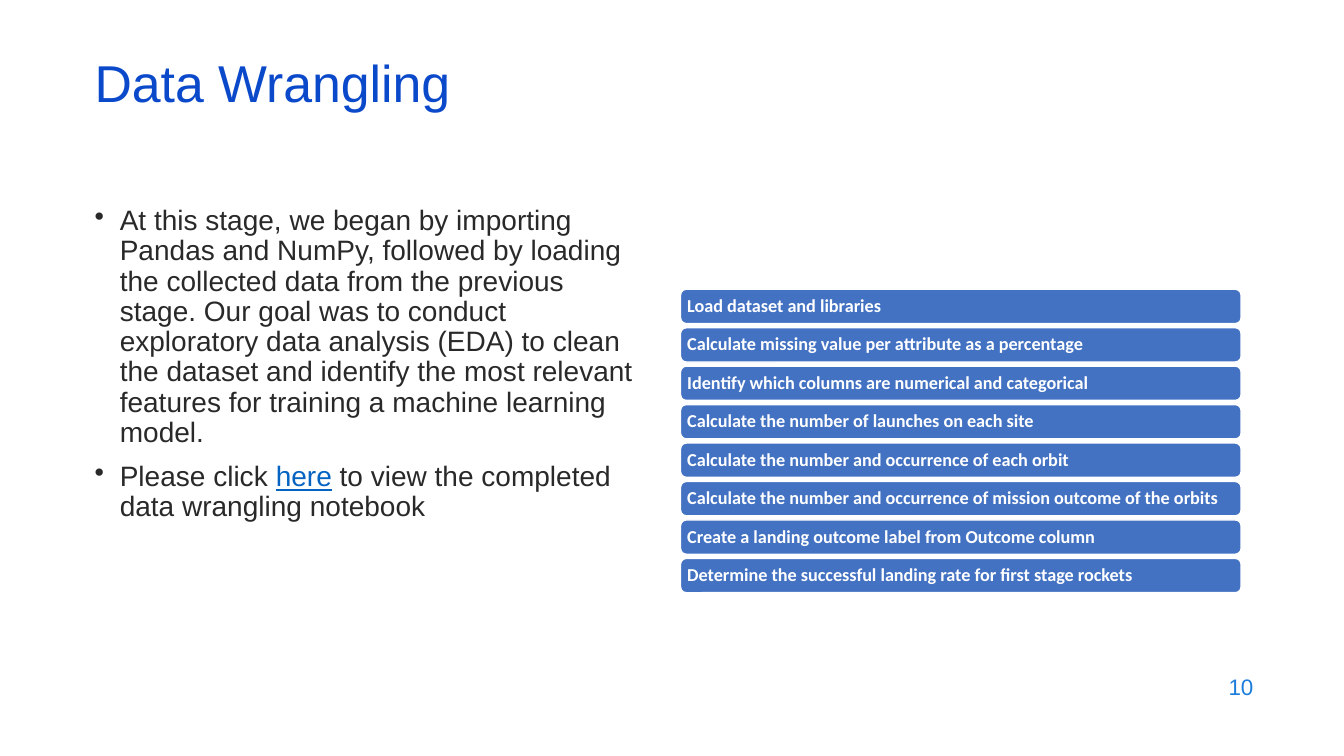
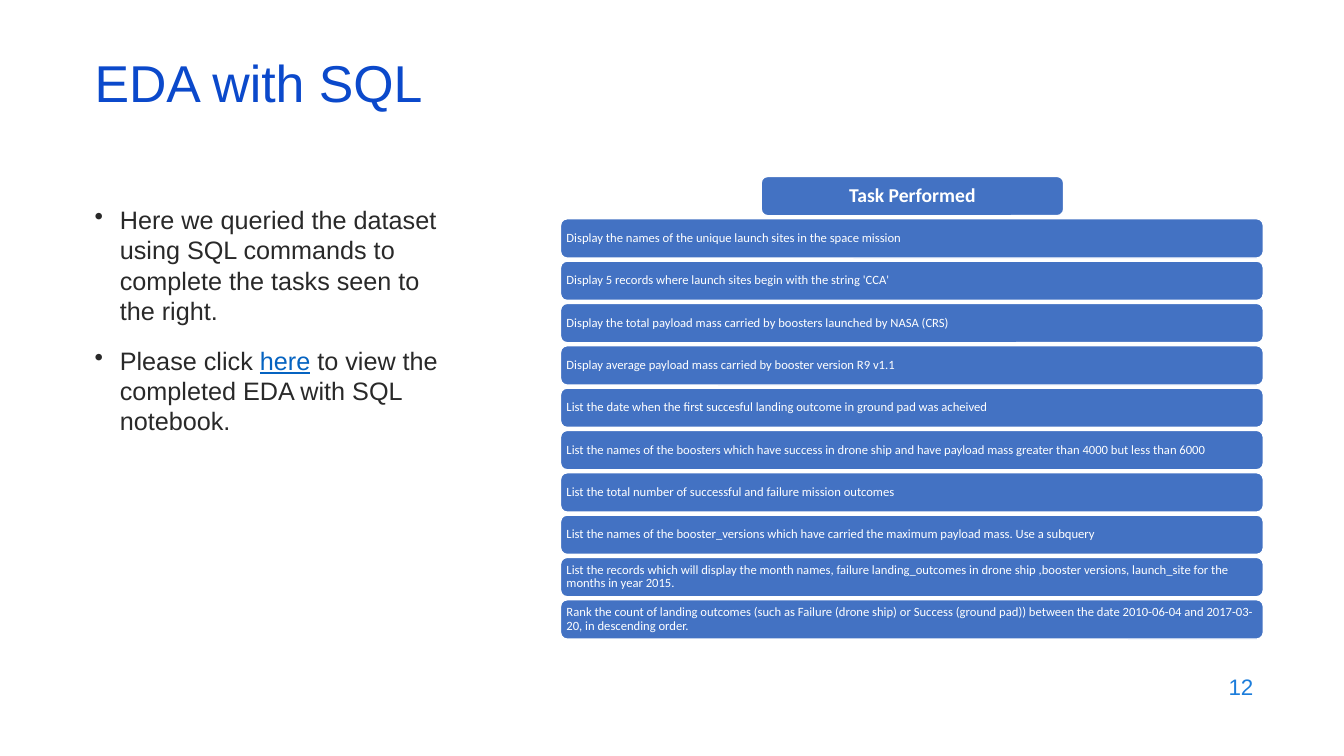
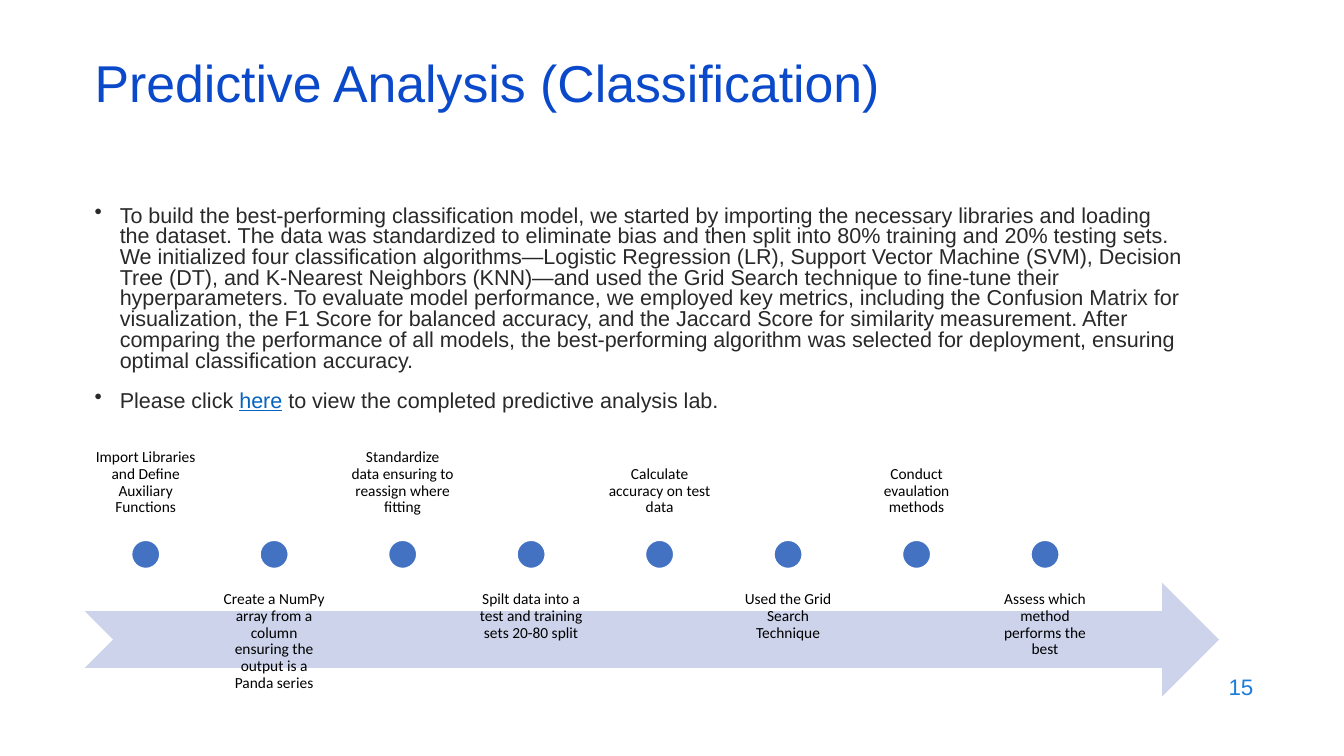
from lxml.etree import SubElement
from pptx import Presentation
from pptx.dml.color import RGBColor
from pptx.enum.shapes import MSO_SHAPE
from pptx.enum.text import MSO_ANCHOR, PP_ALIGN
from pptx.oxml.ns import qn
from pptx.util import Inches, Pt

# Shared style
TITLE_BLUE = RGBColor(0x0B, 0x49, 0xCB)
NUMBER_BLUE = RGBColor(0x1C, 0x7D, 0xDB)
LINK_BLUE = RGBColor(0x05, 0x63, 0xC1)
BAR_BLUE = RGBColor(0x43, 0x72, 0xC3)
ARROW_TINT = RGBColor(0xCC, 0xD3, 0xEA)
INK = RGBColor(0x29, 0x29, 0x29)
BLACK = RGBColor(0, 0, 0)
WHITE = RGBColor(0xFF, 0xFF, 0xFF)
HEADING_FONT = "Arial"
DIAGRAM_FONT = "Calibri"
LEFT = 0.84


def add_bullet(para):
    props = para._p.get_or_add_pPr()
    props.set("marL", str(Inches(0.25)))
    props.set("indent", str(-Inches(0.25)))
    colour = SubElement(props, qn("a:buClr"))
    SubElement(colour, qn("a:srgbClr")).set("val", str(INK))
    SubElement(props, qn("a:buChar")).set("char", "•")


def write(frame, paragraphs, size, color, font=HEADING_FONT, bold=False,
          align=PP_ALIGN.LEFT, anchor=MSO_ANCHOR.TOP, spacing=None,
          before=0, bullets=False, inset=(0.1, 0.05)):
    """Fill a frame; each paragraph is a list of spans, every second one a link."""
    frame.word_wrap = True
    frame.vertical_anchor = anchor
    frame.margin_left = frame.margin_right = Inches(inset[0])
    frame.margin_top = frame.margin_bottom = Inches(inset[1])
    for index, spans in enumerate(paragraphs):
        para = frame.add_paragraph() if index else frame.paragraphs[0]
        if bullets:
            add_bullet(para)
        para.alignment = align
        if spacing:
            para.line_spacing = spacing
        if index:
            para.space_before = Pt(before)
        for position, text in enumerate(spans):
            is_link = position % 2 == 1
            span = para.add_run()
            span.text = text
            span.font.name = font
            span.font.size = Pt(size)
            span.font.bold = bold
            span.font.underline = is_link
            span.font.color.rgb = LINK_BLUE if is_link else color


class SlideWriter:
    """Holds the deck and the page being filled."""

    def __init__(self):
        self.deck = Presentation()
        self.deck.slide_width = Inches(13.33)
        self.deck.slide_height = Inches(7.5)
        self.page = None

    def new_page(self, title, number):
        self.page = self.deck.slides.add_slide(self.deck.slide_layouts[6])
        self.text([[title]], LEFT, 0.59, 11.5, 0.6, size=37, color=TITLE_BLUE,
                  anchor=MSO_ANCHOR.MIDDLE, spacing=0.7)
        self.text([[str(number)]], 9.53, 6.59, 3, 0.44, size=16, color=NUMBER_BLUE,
                  anchor=MSO_ANCHOR.MIDDLE, align=PP_ALIGN.RIGHT)

    def text(self, paragraphs, left, top, width, height, **style):
        box = self.page.shapes.add_textbox(
            Inches(left), Inches(top), Inches(width), Inches(height))
        write(box.text_frame, paragraphs, **style)

    def body(self, paragraphs, top, width, height, **style):
        self.text(paragraphs, LEFT, top, width, height, color=INK, bullets=True, **style)

    def shape(self, kind, left, top, width, height, fill=BAR_BLUE, outline=WHITE):
        shape = self.page.shapes.add_shape(
            kind, Inches(left), Inches(top), Inches(width), Inches(height))
        shape.shadow.inherit = False
        shape.fill.solid()
        shape.fill.fore_color.rgb = fill
        if outline is None:
            shape.line.fill.background()
        else:
            shape.line.color.rgb = outline
            shape.line.width = Pt(1)
        return shape

    def bar(self, label, left, top, width, height, inset, **style):
        bar = self.shape(MSO_SHAPE.ROUNDED_RECTANGLE, left, top, width, height)
        write(bar.text_frame, [[label]], color=WHITE, font=DIAGRAM_FONT, spacing=0.9,
              anchor=MSO_ANCHOR.MIDDLE, inset=(inset, inset), **style)

    def bars(self, labels, left, top, width, height, pitch, **style):
        for index, label in enumerate(labels):
            self.bar(label, left, top + index * pitch, width, height, **style)

    def timeline(self, steps, left, pitch):
        """Labels alternate above and below a row of dots."""
        label_width, label_height, dot = 1.21, 1.13, 0.28
        self.shape(MSO_SHAPE.NOTCHED_RIGHT_ARROW, left, 5.78, 11.25, 1.13,
                   fill=ARROW_TINT, outline=None)
        for index, step in enumerate(steps):
            x = left + index * pitch
            above = index % 2 == 0
            self.text([[step]], x, 4.08 if above else 5.78, label_width, label_height,
                      size=11, color=BLACK, font=DIAGRAM_FONT, spacing=0.9,
                      align=PP_ALIGN.CENTER, inset=(0.09, 0.09),
                      anchor=MSO_ANCHOR.BOTTOM if above else MSO_ANCHOR.TOP)
            self.shape(MSO_SHAPE.OVAL, x + (label_width - dot) / 2, 5.36, dot, dot)


def data_wrangling(writer):
    writer.new_page("Data Wrangling", 10)
    writer.body([
        ["At this stage, we began by importing Pandas and NumPy, followed by loading "
         "the collected data from the previous stage. Our goal was to conduct "
         "exploratory data analysis (EDA) to clean the dataset and identify the most "
         "relevant features for training a machine learning model."],
        ["Please click ", "here", " to view the completed data wrangling notebook"],
    ], 2, 5.56, 3.77, size=20, spacing=0.9, before=10)
    steps = [
        "Load dataset and libraries",
        "Calculate missing value per attribute as a percentage",
        "Identify which columns are numerical and categorical",
        "Calculate the number of launches on each site",
        "Calculate the number and occurrence of each orbit",
        "Calculate the number and occurrence of mission outcome of the orbits",
        "Create a landing outcome label from Outcome column",
        "Determine the successful landing rate for first stage rockets",
    ]
    first_top, last_top = 2.87, 5.54
    writer.bars(steps, 6.75, first_top, 5.56, 0.34,
                (last_top - first_top) / (len(steps) - 1), inset=0.05, size=13, bold=True)


def eda_with_sql(writer):
    writer.new_page("EDA with SQL", 12)
    writer.body([
        ["Here we queried the dataset using SQL commands to complete the tasks seen "
         "to the right."],
        ["Please click ", "here", " to view the completed EDA with SQL notebook."],
    ], 1.98, 3.65, 3.03, size=18, before=14)
    tasks = [
        "Display the names of the unique launch sites in the space mission",
        "Display 5 records where launch sites begin with the string 'CCA'",
        "Display the total payload mass carried by boosters launched by NASA (CRS)",
        "Display average payload mass carried by booster version R9 v1.1",
        "List the date when the first succesful landing outcome in ground pad was acheived",
        "List the names of the boosters which have success in drone ship and have "
        "payload mass greater than 4000 but less than 6000",
        "List the total number of successful and failure mission outcomes",
        "List the names of the booster_versions which have carried the maximum payload "
        "mass. Use a subquery",
        "List the records which will display the month names, failure landing_outcomes "
        "in drone ship ,booster versions, launch_site for the months in year 2015.",
        "Rank the count of landing outcomes (such as Failure (drone ship) or Success "
        "(ground pad)) between the date 2010-06-04 and 2017-03-20, in descending order.",
    ]
    top, height, pitch = 1.75, 0.39, 0.42
    writer.bar("Task Performed", 7.55, top, 3, height, inset=0.06, size=14, bold=True,
               align=PP_ALIGN.CENTER)
    writer.bars(tasks, 5.56, top + pitch, 6.97, height, pitch, inset=0.04, size=9)


def predictive_analysis(writer):
    writer.new_page("Predictive Analysis (Classification)", 15)
    writer.body([
        ["To build the best-performing classification model, we started by importing "
         "the necessary libraries and loading the dataset. The data was standardized to "
         "eliminate bias and then split into 80% training and 20% testing sets. We "
         "initialized four classification algorithms—Logistic Regression (LR), Support "
         "Vector Machine (SVM), Decision Tree (DT), and K-Nearest Neighbors (KNN)—and "
         "used the Grid Search technique to fine-tune their hyperparameters. To evaluate "
         "model performance, we employed key metrics, including the Confusion Matrix for "
         "visualization, the F1 Score for balanced accuracy, and the Jaccard Score for "
         "similarity measurement. After comparing the performance of all models, the "
         "best-performing algorithm was selected for deployment, ensuring optimal "
         "classification accuracy."],
        ["Please click ", "here", " to view the completed predictive analysis lab."],
    ], 2, 11.03, 1.93, size=15.4, spacing=0.8, before=14)
    steps = [
        "Import Libraries and Define Auxiliary Functions",
        "Create a NumPy array from a column ensuring the output is a Panda series",
        "Standardize data ensuring to reassign where fitting",
        "Spilt data into a test and training sets 20-80 split",
        "Calculate accuracy on test data",
        "Used the Grid Search Technique",
        "Conduct evaulation methods",
        "Assess which method performs the best",
    ]
    last_left = 9.76
    writer.timeline(steps, LEFT, (last_left - LEFT) / (len(steps) - 1))


def main():
    writer = SlideWriter()
    data_wrangling(writer)
    eda_with_sql(writer)
    predictive_analysis(writer)
    writer.deck.save("out.pptx")


if __name__ == "__main__":
    main()
